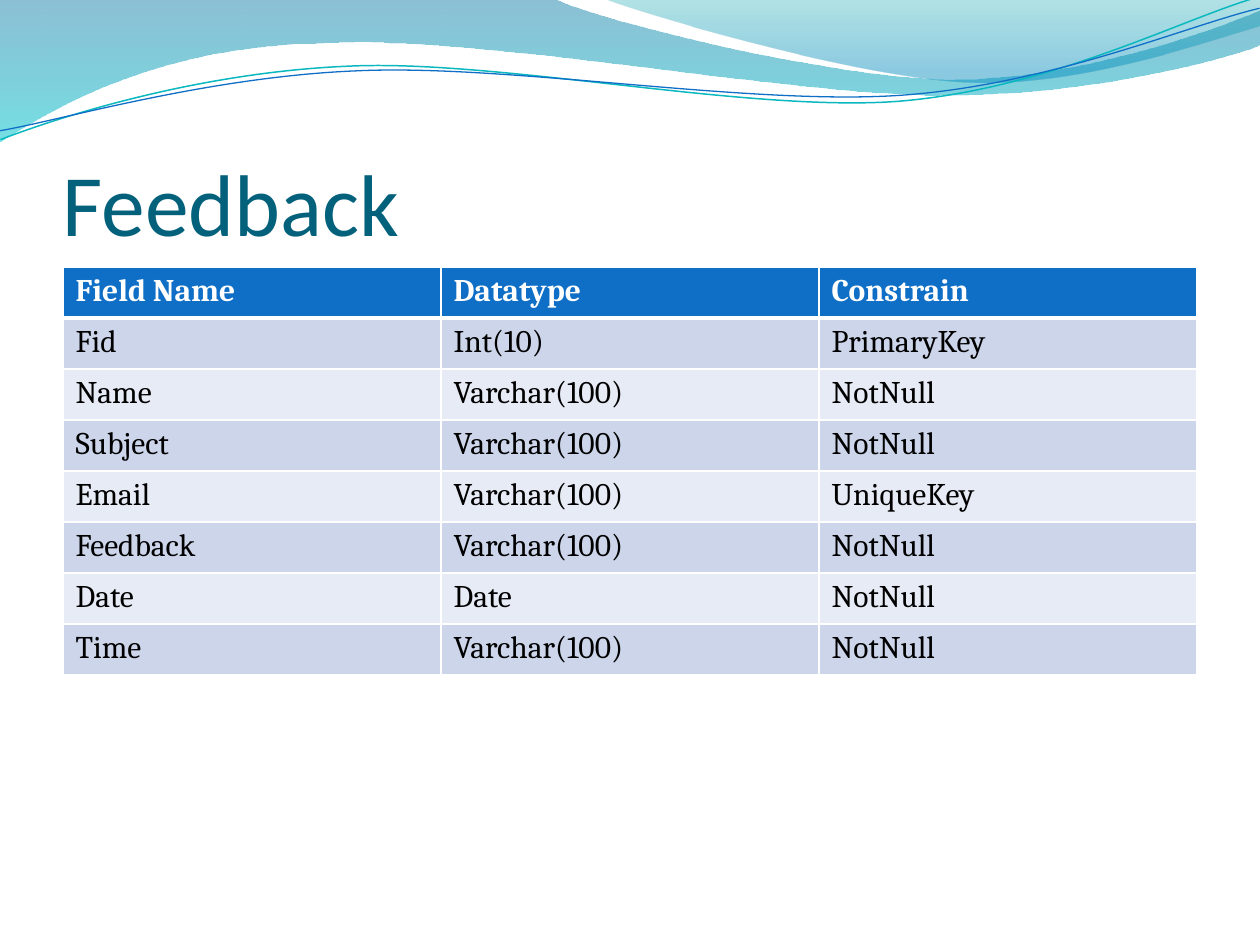
from lxml import etree
from pptx import Presentation
from pptx.dml.color import RGBColor
from pptx.enum.text import MSO_ANCHOR
from pptx.oxml.ns import qn
from pptx.util import Pt

BOTTOM = MSO_ANCHOR.BOTTOM
EMU_PER_PX = 914400 / 126
LINE_ROTATION = 357.3

WHITE = RGBColor(0xFF, 0xFF, 0xFF)
BLACK = RGBColor(0x00, 0x00, 0x00)
TITLE_TEAL = RGBColor(0x04, 0x61, 0x7B)
HEADER_BLUE = RGBColor(0x0F, 0x6F, 0xC6)
BAND_DARK = RGBColor(0xCC, 0xD5, 0xEA)
BAND_LIGHT = RGBColor(0xE7, 0xEB, 0xF5)
LINE_TEAL = RGBColor(0x0A, 0xB8, 0xBF)
WAVE_BLUE = RGBColor(0x00, 0x74, 0xA1)
WAVE_CYAN = RGBColor(0x00, 0xC6, 0xCF)
CREST_TEAL = RGBColor(0x00, 0xA1, 0xA9)
CREST_BLUE = RGBColor(0x00, 0x8B, 0xBF)

WAVE = [[(0, 0)], [(554, -1)],
        [(600, 21), (837, 79), (955, 79)], [(1075, 79), (1207, 33), (1260, 11)],
        [(1261, 45)], [(1239, 55), (1096, 96), (940, 95)],
        [(784, 95), (481, 35), (324, 43)], [(163, 45), (58, 105), (-1, 142)]]
CREST = [[(604, -1)], [(641, 14), (859, 78), (969, 82)],
         [(1079, 87), (1211, 40), (1260, 26)], [(1260, 0)]]
TEAL_LINE = [[(-2, 110)], [(58, 90), (199, 52), (350, 53)],
             [(499, 53), (745, 118), (896, 114)], [(1049, 109), (1184, 45), (1260, 27)]]
BLUE_LINE = [[(-2, 101)], [(57, 94), (207, 57), (357, 58)],
             [(509, 58), (750, 112), (902, 108)], [(1052, 104), (1188, 52), (1262, 38)]]

FIELDS = [
    ("Field Name", "Datatype", "Constrain"),
    ("Fid", "Int(10)", "PrimaryKey"),
    ("Name", "Varchar(100)", "NotNull"),
    ("Subject", "Varchar(100)", "NotNull"),
    ("Email", "Varchar(100)", "UniqueKey"),
    ("Feedback", "Varchar(100)", "NotNull"),
    ("Date", "Date", "NotNull"),
    ("Time", "Varchar(100)", "NotNull"),
]


def px(length):
    return round(length * EMU_PER_PX)


def bend_segments(shape, segments):
    lines = iter(list(shape._element.iter(qn("a:lnTo"))))
    for segment in segments:
        pieces = [next(lines) for _ in segment]
        if len(segment) == 3:
            curve = etree.Element(qn("a:cubicBezTo"))
            pieces[0].addprevious(curve)
            for piece in pieces:
                curve.append(piece[0])
                piece.getparent().remove(piece)


def add_outline(slide, left, top, outline, close):
    points = [(px(left + x), px(top + y)) for segment in outline for x, y in segment]
    builder = slide.shapes.build_freeform(*points[0])
    builder.add_line_segments(points[1:], close=close)
    shape = builder.convert_to_shape()
    shape.shadow.inherit = False
    bend_segments(shape, outline[1:])
    return shape


def add_wave(slide, left, top, outline, stops):
    shape = add_outline(slide, left, top, outline, True)
    shape.line.fill.background()
    shape.fill.gradient()
    shape.fill.gradient_angle = 270
    for stop, (position, color, _) in zip(shape.fill.gradient_stops, stops):
        stop.position = position
        stop.color.rgb = color
    colors = shape._element.spPr.find(qn("a:gradFill")).iter(qn("a:srgbClr"))
    for color, (_, _, opacity) in zip(colors, stops):
        etree.SubElement(color, qn("a:alpha")).set("val", str(opacity * 1000))


def add_wave_line(slide, left, top, outline, color, width):
    shape = add_outline(slide, left, top, outline, False)
    shape.rotation = LINE_ROTATION
    shape.fill.background()
    shape.line.color.rgb = color
    shape.line.width = Pt(width)


def add_wave_header(slide, left, top):
    add_wave(slide, left, top, WAVE, [(0, WAVE_BLUE, 45), (1, WAVE_CYAN, 55)])
    add_wave(slide, left, top, CREST, [(0, CREST_TEAL, 30), (0.8, CREST_BLUE, 45)])
    add_wave_line(slide, left, top, TEAL_LINE, LINE_TEAL, 0.85)
    add_wave_line(slide, left, top, BLUE_LINE, HEADER_BLUE, 0.75)


def style_text(paragraph, font_name, size, color, bold=False):
    font = paragraph.font
    font.name = font_name
    font.size = Pt(size)
    font.bold = bold
    font.color.rgb = color


def add_title(slide, left, top, width, height):
    frame = slide.shapes.add_textbox(px(left), px(top), px(width), px(height)).text_frame
    frame.word_wrap = True
    frame.vertical_anchor = BOTTOM
    frame.margin_left = frame.margin_right = frame.margin_bottom = 0
    frame.text = "Feedback"
    style_text(frame.paragraphs[0], "Calibri", 50, TITLE_TEAL)


def add_borders(cell, widths):
    properties = cell._tc.get_or_add_tcPr()
    for side, width in widths.items():
        line = etree.SubElement(properties, qn(f"a:ln{side}"), w=str(Pt(width)))
        fill = etree.SubElement(line, qn("a:solidFill"))
        etree.SubElement(fill, qn("a:srgbClr"), val=str(WHITE))


def add_field_table(slide, left, top, width, height):
    table = slide.shapes.add_table(len(FIELDS), len(FIELDS[0]), px(left), px(top),
                                   px(width), px(height)).table
    for row_index, values in enumerate(FIELDS):
        header = row_index == 0
        band = BAND_DARK if row_index % 2 else BAND_LIGHT
        for column_index, value in enumerate(values):
            cell = table.cell(row_index, column_index)
            add_borders(cell, {"L": 1, "R": 1, "T": 3 if row_index == 1 else 1,
                               "B": 3 if header else 1})
            cell.fill.solid()
            cell.fill.fore_color.rgb = HEADER_BLUE if header else band
            cell.text = value
            style_text(cell.text_frame.paragraphs[0], "Cambria", 18,
                       WHITE if header else BLACK, header)


def main():
    presentation = Presentation()
    presentation.slide_width = px(1260)
    presentation.slide_height = px(945)
    slide = presentation.slides.add_slide(presentation.slide_layouts[6])
    add_wave_header(slide, 0, 0)
    add_title(slide, 63, 97, 1134, 157)
    add_field_table(slide, 63, 267, 1134, 408)
    presentation.save("out.pptx")


if __name__ == "__main__":
    main()
